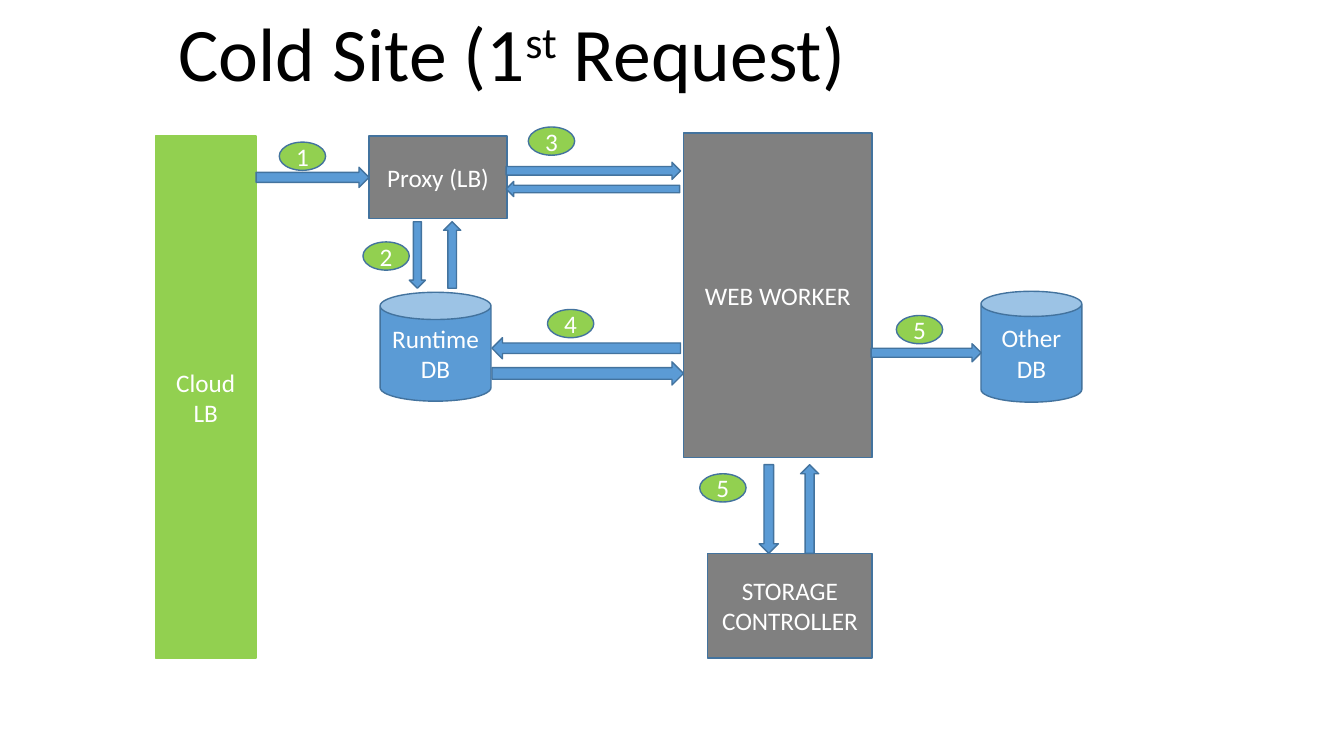
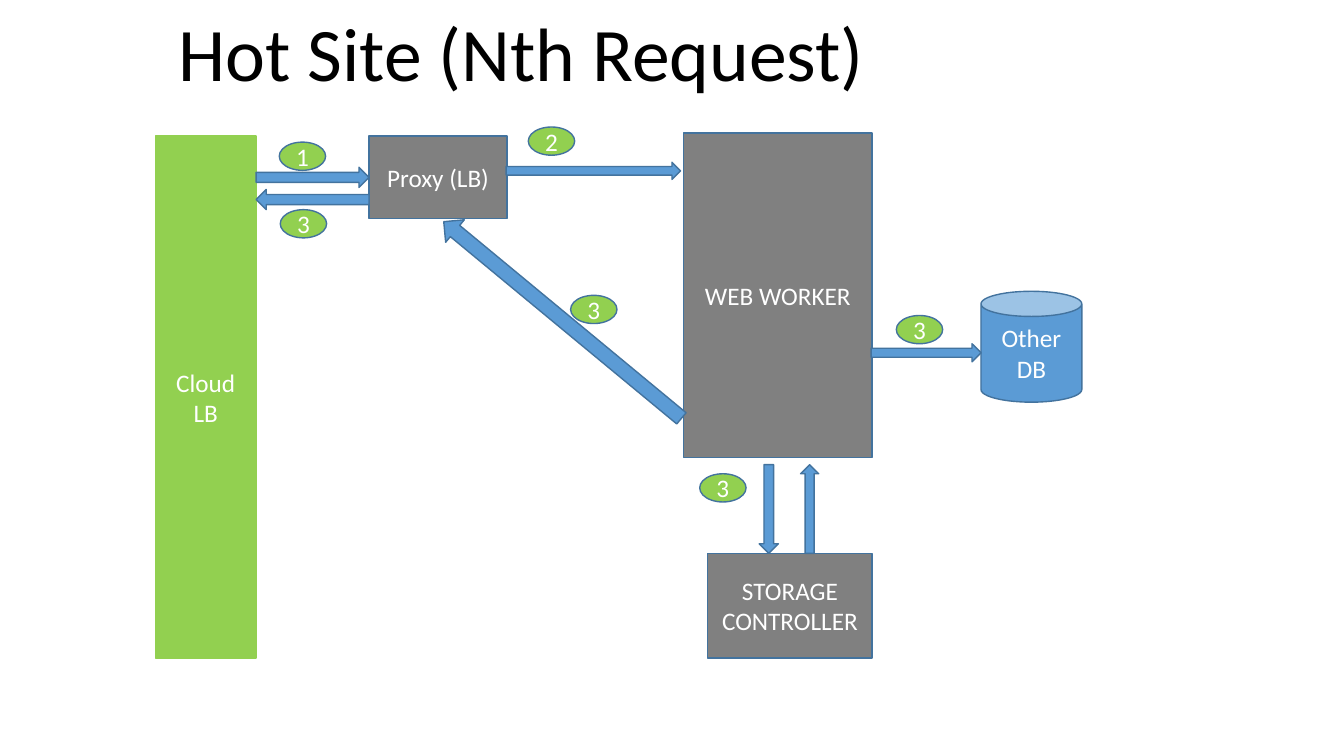
from pptx import Presentation
from pptx import util as u
from pptx.dml.color import RGBColor
from pptx.enum import shapes, text

PX = 9144
FONT = "Calibri"
GREEN, GRAY, BLUE = "92D050", "808080", "5B9BD5"
EDGE, WHITE, BLACK = "43739E", "FFFFFF", "000000"
KIND = shapes.MSO_SHAPE
RIGHT, LEFT = KIND.RIGHT_ARROW, KIND.LEFT_ARROW
UP, DOWN = KIND.UP_ARROW, KIND.DOWN_ARROW

BOXES = [
    ("Cloud\nLB", 154, 135, 100, 518, GREEN, GREEN),
    ("Proxy (LB)", 366, 135, 137, 82, GRAY, EDGE),
    ("WEB WORKER", 678, 132, 187, 322, GRAY, EDGE),
    ("STORAGE CONTROLLER", 702, 549, 163, 104, GRAY, EDGE),
]
ARROWS = [
    (RIGHT, 254, 166, 112, 20),
    (RIGHT, 502, 161, 173, 17),
    (RIGHT, 864, 341, 109, 18),
    (DOWN, 753, 461, 19, 88),
    (UP, 794, 461, 18, 88),
]
OTHER = ("Other DB", 973, 289, 100, 110)
SPOTS = [(277, 141), (524, 126), (694, 470), (889, 313)]

COLD = {
    "title": [("Cold Site (1", False), ("st", True), (" Request)", False)],
    "stores": [("Runtime DB", 377, 290, 110, 108)],
    "steps": "1355",
    "extra": [("2", 360, 240), ("4", 543, 307)],
    "arrows": [
        (LEFT, 502, 180, 172, 15),
        (DOWN, 406, 220, 16, 66),
        (UP, 440, 220, 17, 66),
        (LEFT, 488, 335, 187, 21),
        (RIGHT, 488, 359, 190, 23),
    ],
}
HOT = {
    "title": [("Hot Site (Nth Request)", False)],
    "stores": [],
    "steps": "1233",
    "extra": [("3", 278, 208), ("3", 566, 293)],
    "arrows": [
        (LEFT, 254, 188, 112, 20),
        (LEFT, 405, 303, 306, 29, 39.6),
    ],
}


def color(code):
    return RGBColor.from_string(code)


def style(run, size, code):
    run.font.name = FONT
    run.font.size = u.Pt(size)
    run.font.color.rgb = color(code)


def add_form(slide, kind, x, y, w, h, fill, edge=EDGE):
    form = slide.shapes.add_shape(kind, x * PX, y * PX, w * PX, h * PX)
    form.shadow.inherit = False
    form.fill.solid()
    form.fill.fore_color.rgb = color(fill)
    form.line.color.rgb = color(edge)
    form.line.width = u.Pt(1)
    return form


def label(form, words):
    frame = form.text_frame
    frame.text = words
    frame.word_wrap = True
    frame.vertical_anchor = text.MSO_ANCHOR.MIDDLE
    for para in frame.paragraphs:
        para.alignment = text.PP_ALIGN.CENTER
        for run in para.runs:
            style(run, 18, WHITE)


def add_box(slide, words, x, y, w, h, fill, edge):
    label(add_form(slide, KIND.RECTANGLE, x, y, w, h, fill, edge), words)


def add_store(slide, words, x, y, w, h):
    label(add_form(slide, KIND.CAN, x, y, w, h, BLUE), words)


def add_badge(slide, step, x, y):
    label(add_form(slide, KIND.OVAL, x, y, 46, 28, GREEN), step)


def add_arrow(slide, kind, x, y, w, h, turn=0):
    add_form(slide, kind, x, y, w, h, BLUE).rotation = turn


def set_title(slide, parts):
    title = slide.shapes.title
    title.left, title.top = 167 * PX, 41 * PX
    title.width, title.height = 731 * PX, 61 * PX
    frame = title.text_frame
    frame.word_wrap = True
    frame.auto_size = text.MSO_AUTO_SIZE.NONE
    frame.vertical_anchor = text.MSO_ANCHOR.BOTTOM
    para = frame.paragraphs[0]
    para.alignment = text.PP_ALIGN.LEFT
    para.line_spacing = 0.9
    for words, raised in parts:
        run = para.add_run()
        run.text = words
        style(run, 54, BLACK)
        if raised:
            run._r.get_or_add_rPr().set("baseline", "30000")


def add_flow(deck, site):
    slide = deck.slides.add_slide(deck.slide_layouts[5])
    set_title(slide, site["title"])
    for box in BOXES:
        add_box(slide, *box)
    for store in site["stores"] + [OTHER]:
        add_store(slide, *store)
    for step, spot in zip(site["steps"], SPOTS):
        add_badge(slide, step, *spot)
    for badge in site["extra"]:
        add_badge(slide, *badge)
    for arrow in ARROWS + site["arrows"]:
        add_arrow(slide, *arrow)


def main():
    deck = Presentation()
    deck.slide_width, deck.slide_height = 1333 * PX, 750 * PX
    for site in (COLD, HOT):
        add_flow(deck, site)
    deck.save("out.pptx")


if __name__ == "__main__":
    main()
